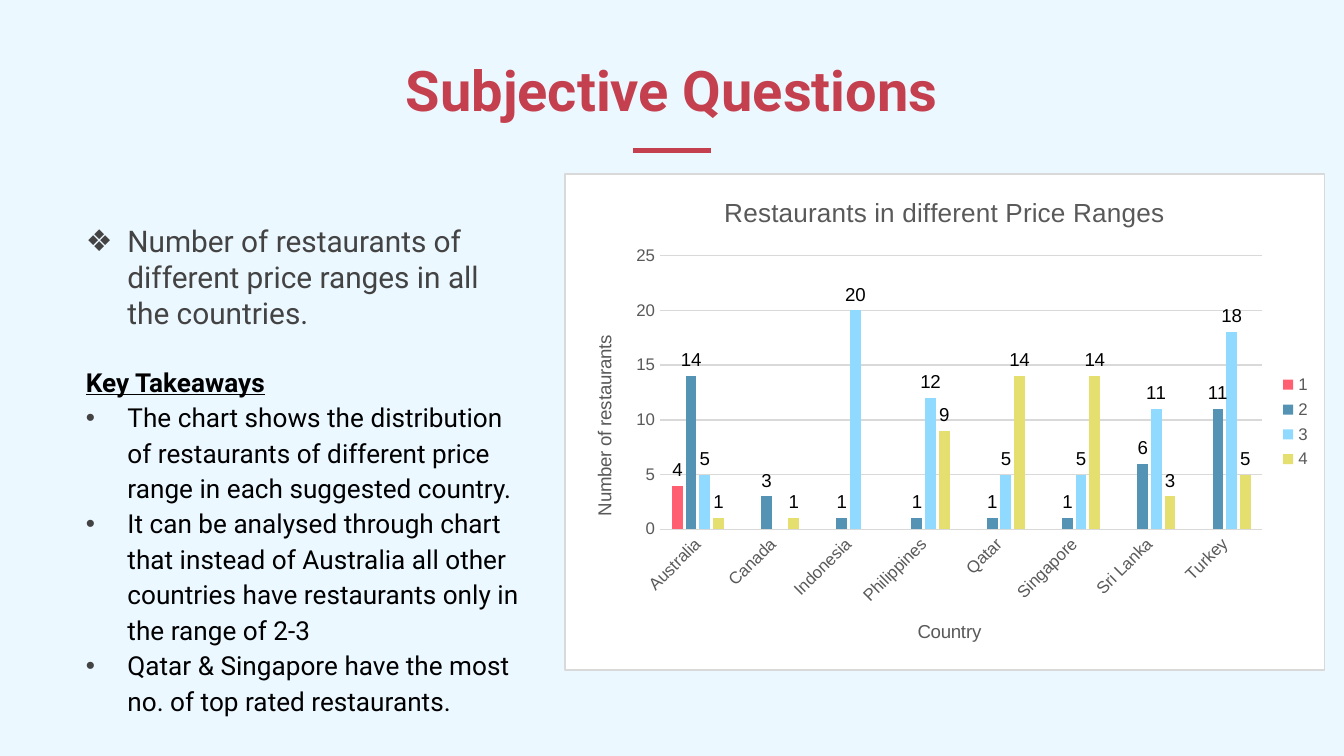
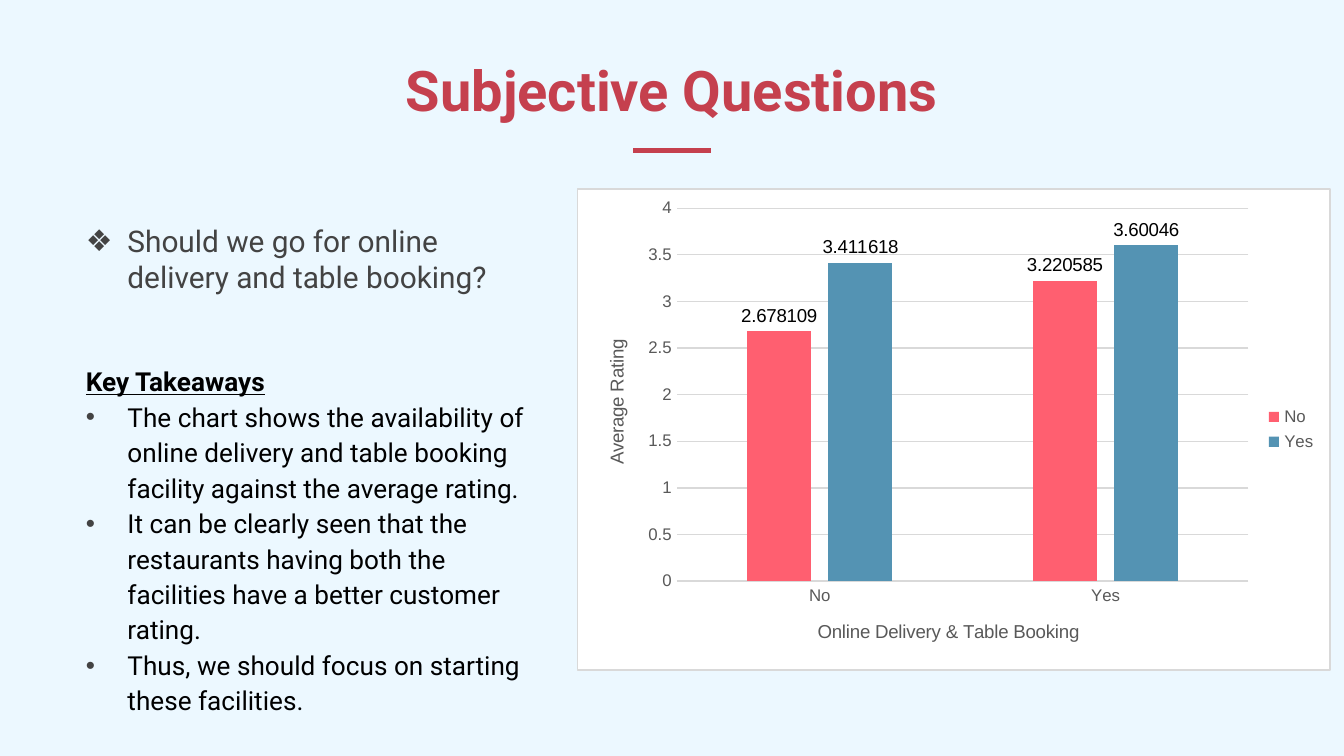
from lxml import etree
from pptx import Presentation
from pptx.chart.data import CategoryChartData
from pptx.dml.color import RGBColor
from pptx.enum.chart import XL_CHART_TYPE, XL_LABEL_POSITION, XL_LEGEND_POSITION, XL_TICK_MARK
from pptx.enum.shapes import MSO_CONNECTOR
from pptx.enum.text import MSO_ANCHOR, PP_ALIGN
from pptx.oxml.ns import qn
from pptx.util import Inches, Pt

CLUSTERED = XL_CHART_TYPE.COLUMN_CLUSTERED
OUTSIDE_END = XL_LABEL_POSITION.OUTSIDE_END
RIGHT = XL_LEGEND_POSITION.RIGHT
NO_TICK = XL_TICK_MARK.NONE
STRAIGHT = MSO_CONNECTOR.STRAIGHT
BOTTOM = MSO_ANCHOR.BOTTOM
CENTER = PP_ALIGN.CENTER

WIDTH = 10
HEIGHT = WIDTH * 9 / 16
BACKGROUND, ACCENT, GREY, BLACK, WHITE = "ECF8FF", "C5404E", "434343", "000000", "FFFFFF"
CHART_TEXT, CHART_LINE = "595959", "D9D9D9"
SERIES_COLOURS = ["FF5F70", "5493B3", "91DAFF", "E4DF6F"]
TEXT_FONT, CHART_FONT = "Roboto", "Arial"
LEAD_SIZE, BODY_SIZE = 16, 14
LEAD_LINE = 19  # height of one line of the lead text, in points
INDENT = 0.31

TITLE = "Subjective Questions"
HEADING = "Key Takeaways"
TITLE_BOX = (0.87, 0.18, 8.26, 0.83)
TEXT_BOX = (0.54, 1.56, 3.48, 3.88)
RULE_WIDTH, RULE_TOP = 0.58, 1.12

SLIDES = [
    {
        "question": "Number of restaurants of different price ranges in all the countries.",
        "gap_lines": 1,
        "takeaways": [
            "The chart shows the distribution of restaurants of different price range in each "
            "suggested country.",
            "It can be analysed through chart that instead of Australia all other countries have "
            "restaurants only in the range of 2-3",
            "Qatar & Singapore have the most no. of top rated restaurants.",
        ],
        "chart": {
            "box": (4.2, 1.29, 5.66, 3.7),
            "title": "Restaurants in different Price Ranges",
            "axis_titles": ("Country", "Number of restaurants"),
            "scale": (25, 5),
            "label_angle": -45,
            "categories": ["Australia", "Canada", "Indonesia", "Philippines",
                           "Qatar", "Singapore", "Sri Lanka", "Turkey"],
            "series": {
                "1": [4, None, None, None, None, None, None, None],
                "2": [14, 3, 1, 1, 1, 1, 6, 11],
                "3": [5, None, 20, 12, 5, 5, 11, 18],
                "4": [1, 1, None, 9, 14, 14, 3, 5],
            },
        },
    },
    {
        "question": "Should we go for online delivery and table booking?",
        "gap_lines": 2,
        "takeaways": [
            "The chart shows the availability of online delivery and table booking facility "
            "against the average rating.",
            "It can be clearly seen that the restaurants having both the facilities have a better "
            "customer rating.",
            "Thus, we should focus on starting these facilities.",
        ],
        "chart": {
            "box": (4.29, 1.4, 5.61, 3.59),
            "title": None,
            "axis_titles": ("Online Delivery & Table Booking", "Average Rating"),
            "scale": (4, 0.5),
            "label_angle": 0,
            "categories": ["No", "Yes"],
            "series": {
                "No": [2.678109, 3.220585],
                "Yes": [3.411618, 3.60046],
            },
        },
    },
]


def rgb(colour):
    return RGBColor.from_string(colour)


def inches(box):
    return [Inches(length) for length in box]


def style(font, name, size, colour, bold=False):
    font.name, font.size, font.bold = name, Pt(size), bold
    font.color.rgb = rgb(colour)


def add_run(paragraph, text, size, colour, bold=False):
    run = paragraph.add_run()
    run.text = text
    style(run.font, TEXT_FONT, size, colour, bold)
    return run


def set_insets(frame):
    frame.word_wrap = True
    frame.margin_left = frame.margin_right = Inches(0.1)
    frame.margin_top = frame.margin_bottom = Inches(0.1)


def add_bullet(paragraph, mark):
    properties = paragraph._p.get_or_add_pPr()
    properties.set("marL", str(Inches(INDENT)))
    properties.set("indent", str(-Inches(INDENT)))
    colour = etree.SubElement(properties, qn("a:buClr"))
    etree.SubElement(colour, qn("a:srgbClr"), val=GREY)
    etree.SubElement(properties, qn("a:buFont"), typeface=CHART_FONT)
    etree.SubElement(properties, qn("a:buChar"), char=mark)


def add_title(slide):
    title = slide.shapes.title
    title.left, title.top, title.width, title.height = inches(TITLE_BOX)
    frame = title.text_frame
    set_insets(frame)
    frame.vertical_anchor = BOTTOM
    paragraph = frame.paragraphs[0]
    paragraph.alignment = CENTER
    add_run(paragraph, TITLE, 30, ACCENT, bold=True)

    left = (WIDTH - RULE_WIDTH) / 2
    rule = slide.shapes.add_connector(
        STRAIGHT, *inches((left, RULE_TOP, left + RULE_WIDTH, RULE_TOP)))
    rule.line.color.rgb = rgb(ACCENT)
    rule.line.width = Pt(3)
    etree.SubElement(rule._element.spPr, qn("a:effectLst"))


def add_findings(slide, question, gap_lines, takeaways):
    frame = slide.shapes.add_textbox(*inches(TEXT_BOX)).text_frame
    set_insets(frame)
    lead = frame.paragraphs[0]
    add_bullet(lead, "❖")
    add_run(lead, question, LEAD_SIZE, GREY)

    heading = frame.add_paragraph()
    heading.space_before = Pt(gap_lines * LEAD_LINE)
    add_run(heading, HEADING, BODY_SIZE, BLACK, bold=True).font.underline = True

    for takeaway in takeaways:
        paragraph = frame.add_paragraph()
        paragraph.line_spacing = 1.13
        add_bullet(paragraph, "•")
        add_run(paragraph, takeaway, BODY_SIZE, BLACK)


def rotate(element, degrees):
    element.find(".//" + qn("a:bodyPr")).set("rot", str(degrees * 60000))


def title_chart_part(part_title, text, size):
    run = part_title.text_frame.paragraphs[0].add_run()
    run.text = text
    style(run.font, CHART_FONT, size, CHART_TEXT)


def format_axis(axis, title, title_angle):
    axis.major_tick_mark = axis.minor_tick_mark = NO_TICK
    style(axis.tick_labels.font, CHART_FONT, 9, CHART_TEXT)
    title_chart_part(axis.axis_title, title, 10)
    rotate(axis.axis_title._element, title_angle)


def draw_line(line):
    line.color.rgb = rgb(CHART_LINE)
    line.width = Pt(0.75)


def frame_chart(chart):
    """Give the chart area a white fill and a thin border."""
    area = etree.Element(qn("c:spPr"))
    fill = etree.SubElement(area, qn("a:solidFill"))
    etree.SubElement(fill, qn("a:srgbClr"), val=WHITE)
    border = etree.SubElement(area, qn("a:ln"), w=str(Pt(0.75)))
    stroke = etree.SubElement(border, qn("a:solidFill"))
    etree.SubElement(stroke, qn("a:srgbClr"), val=CHART_LINE)
    chart._chartSpace.find(qn("c:chart")).addnext(area)


def add_column_chart(slide, content):
    data = CategoryChartData()
    data.categories = content["categories"]
    for name, values in content["series"].items():
        data.add_series(name, values)
    chart = slide.shapes.add_chart(CLUSTERED, *inches(content["box"]), data).chart
    style(chart.font, CHART_FONT, 10, BLACK)
    frame_chart(chart)

    chart.has_title = content["title"] is not None
    if chart.has_title:
        title_chart_part(chart.chart_title, content["title"], 14)
    chart.has_legend = True
    chart.legend.position = RIGHT
    chart.legend.include_in_layout = False
    style(chart.legend.font, CHART_FONT, 9, CHART_TEXT)

    groups, amounts = chart.category_axis, chart.value_axis
    group_title, amount_title = content["axis_titles"]
    format_axis(groups, group_title, 0)
    format_axis(amounts, amount_title, -90)
    draw_line(groups.format.line)
    rotate(groups._element.find(qn("c:txPr")), content["label_angle"])
    amounts.format.line.fill.background()
    draw_line(amounts.major_gridlines.format.line)
    amounts.minimum_scale = 0
    amounts.maximum_scale, amounts.major_unit = content["scale"]

    plot = chart.plots[0]
    plot.gap_width, plot.overlap = 219, -27
    plot.vary_by_categories = False
    for series, colour in zip(plot.series, SERIES_COLOURS):
        series.format.fill.solid()
        series.format.fill.fore_color.rgb = rgb(colour)
        labels = series.data_labels
        labels.show_value = True
        labels.position = OUTSIDE_END
        style(labels.font, CHART_FONT, 10, BLACK)


def main():
    prs = Presentation()
    prs.slide_width, prs.slide_height = Inches(WIDTH), Inches(HEIGHT)
    backdrop = prs.slide_master.background.fill
    backdrop.solid()
    backdrop.fore_color.rgb = rgb(BACKGROUND)
    title_only = prs.slide_layouts.get_by_name("Title Only")
    for content in SLIDES:
        slide = prs.slides.add_slide(title_only)
        add_title(slide)
        add_findings(slide, content["question"], content["gap_lines"], content["takeaways"])
        add_column_chart(slide, content["chart"])
    prs.save("out.pptx")


if __name__ == "__main__":
    main()
